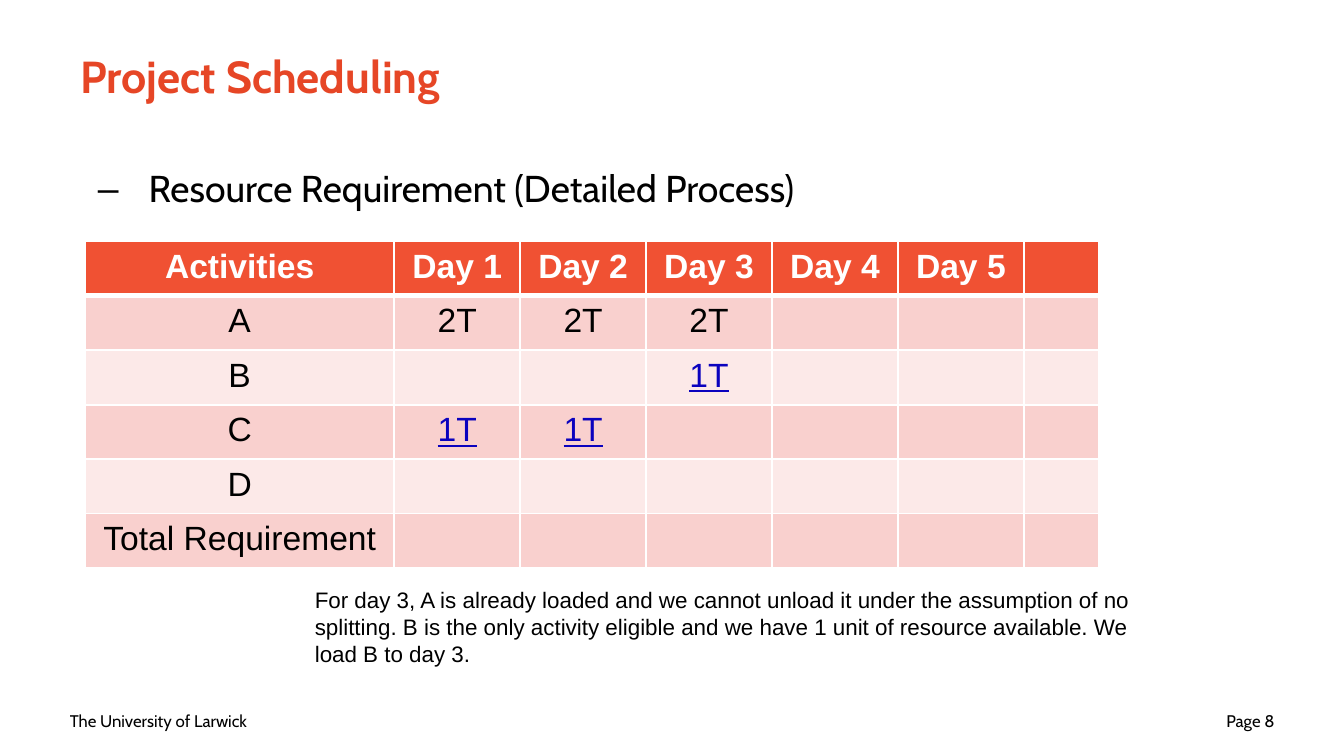
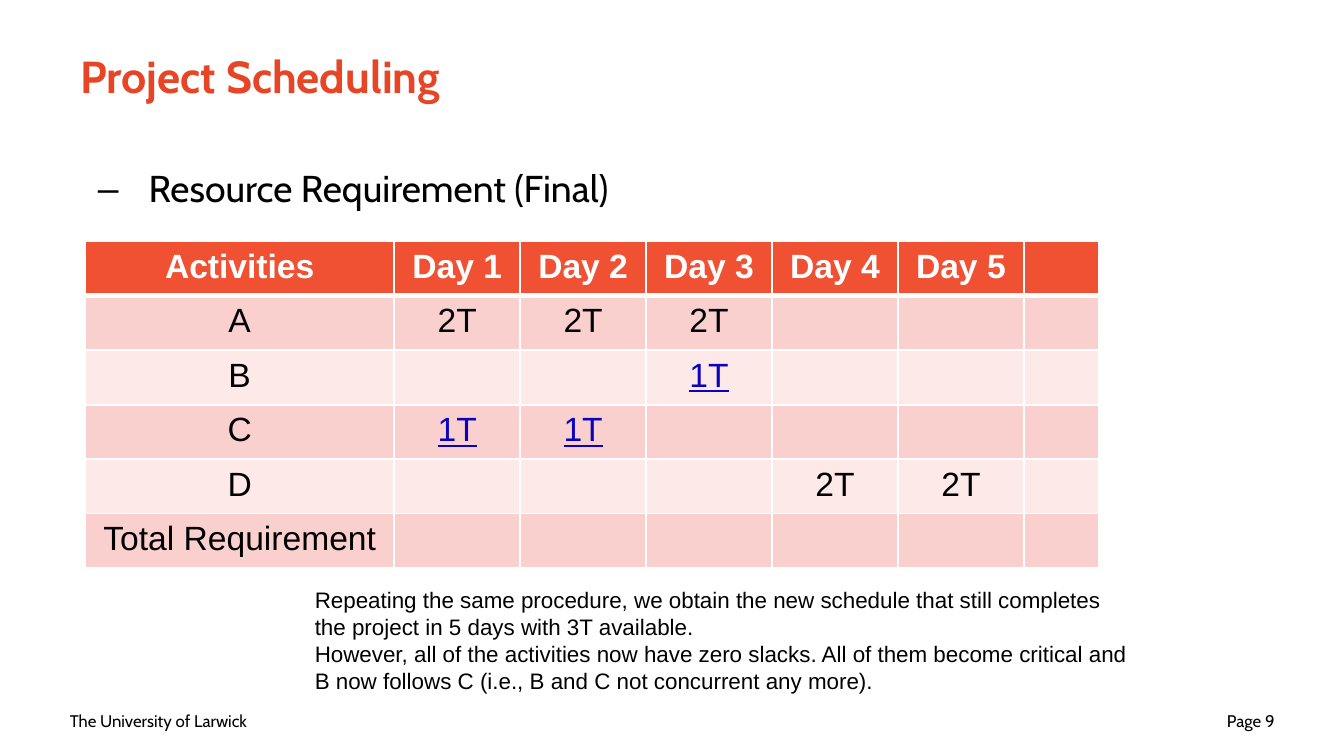
from pptx import Presentation
from pptx.dml.color import RGBColor
from pptx.enum.text import MSO_ANCHOR, PP_ALIGN
from pptx.oxml import parse_xml
from pptx.oxml.ns import nsdecls
from pptx.util import Cm, Pt

TITLE_RED = RGBColor(0xE6, 0x46, 0x26)
HEADER_RED = RGBColor(0xF0, 0x51, 0x33)
BANDS = [RGBColor(0xFC, 0xE9, 0xE8), RGBColor(0xF9, 0xD0, 0xCE)]
BLUE = RGBColor(0x0B, 0x02, 0xBE)
BLACK = RGBColor(0, 0, 0)
WHITE = RGBColor(0xFF, 0xFF, 0xFF)

COLUMNS = [5.84] + [2.38] * 5 + [1.42]
ROW_HEIGHT = 1.03
HEADER = ["Activities"] + [f"Day {day}" for day in range(1, 6)] + [""]
ACTIVITIES = ["A", "B", "C", "D", "Total Requirement"]
SHIFTED = "1T"  # rescheduled load, underlined in blue

# Loads are keyed by (activity, day)
loads = {("A", 1): "2T", ("A", 2): "2T", ("A", 3): "2T",
         ("B", 3): SHIFTED, ("C", 1): SHIFTED, ("C", 2): SHIFTED}
final_loads = {**loads, ("D", 4): "2T", ("D", 5): "2T"}

SLIDES = [
    (8, "Resource Requirement (Detailed Process)", loads, 1.8,
     ["For day 3, A is already loaded and we cannot unload it under the "
      "assumption of no splitting. B is the only activity eligible and we "
      "have 1 unit of resource available. We load B to day 3."]),
    (9, "Resource Requirement (Final)", final_loads, 2.31,
     ["Repeating the same procedure, we obtain the new schedule that still "
      "completes the project in 5 days with 3T available.",
      "However, all of the activities now have zero slacks. All of them become "
      "critical and B now follows C (i.e., B and C not concurrent any more)."]),
]


def add_text(s, box, lines, size, font="Cabin", color=BLACK, bold=False,
             align=PP_ALIGN.LEFT, anchor=MSO_ANCHOR.MIDDLE):
    tf = s.shapes.add_textbox(*map(Cm, box)).text_frame
    tf.word_wrap = True
    tf.vertical_anchor = anchor
    tf.text = "\n".join(lines)
    for p in tf.paragraphs:
        p.alignment = align
        p.font.name, p.font.size, p.font.bold = font, Pt(size), bold
        p.font.color.rgb = color
    return tf


def add_borders(cell, row):
    tcPr = cell._tc.get_or_add_tcPr()
    widths = {"L": 1, "R": 1, "T": 3 if row == 1 else 1, "B": 3 if row == 0 else 1}
    for side, width in widths.items():
        tcPr.append(parse_xml(
            f'<a:ln{side} {nsdecls("a")} w="{Pt(width)}"><a:solidFill>'
            f'<a:srgbClr val="{WHITE}"/></a:solidFill></a:ln{side}>'))


prs = Presentation()
prs.slide_width, prs.slide_height = Cm(25.4), Cm(14.29)

for page, heading, day_loads, note_height, note in SLIDES:
    s = prs.slides.add_slide(prs.slide_layouts[6])

    # Footer and title
    add_text(s, (1.07, 13.25, 5.92, 0.76), ["The University of Larwick"], 9)
    add_text(s, (18.42, 13.25, 5.92, 0.76), [f"Page {page}"], 9, align=PP_ALIGN.RIGHT)
    add_text(s, (1.27, 0.23, 22.86, 2.39), ["Project Scheduling"], 24,
             color=TITLE_RED, bold=True)

    # Dashed heading
    tf = add_text(s, (1.6, 3.1, 22.4, 9.42), [heading], 20, anchor=MSO_ANCHOR.TOP)
    p = tf.paragraphs[0]
    p.line_spacing = 0.9
    pPr = p._p.get_or_add_pPr()
    pPr.set("marL", str(Cm(0.96)))
    pPr.set("indent", str(-Cm(0.96)))
    pPr.find("{*}lnSpc").addnext(parse_xml(
        f'<a:spcBef {nsdecls("a")}><a:spcPct val="35000"/></a:spcBef>'))
    defRPr = pPr.find("{*}defRPr")
    defRPr.addprevious(parse_xml(f'<a:buFont {nsdecls("a")} typeface="Arial"/>'))
    defRPr.addprevious(parse_xml(f'<a:buChar {nsdecls("a")} char="–"/>'))

    # Schedule table
    rows = [HEADER] + [[name] + [day_loads.get((name, day), "") for day in range(1, 7)]
                       for name in ACTIVITIES]
    table = s.shapes.add_table(len(rows), len(COLUMNS), Cm(1.61), Cm(4.56),
                               Cm(sum(COLUMNS)), Cm(ROW_HEIGHT * len(rows))).table
    for column, width in zip(table.columns, COLUMNS):
        column.width = Cm(width)
    for i, row in enumerate(rows):
        table.rows[i].height = Cm(ROW_HEIGHT)
        for j, text in enumerate(row):
            cell = table.cell(i, j)
            add_borders(cell, i)
            cell.fill.solid()
            cell.fill.fore_color.rgb = BANDS[i % 2] if i else HEADER_RED
            cell.text = text
            p = cell.text_frame.paragraphs[0]
            p.alignment = PP_ALIGN.CENTER
            p.font.name, p.font.size, p.font.bold = "Arial", Pt(18), i == 0
            p.font.underline = text == SHIFTED
            p.font.color.rgb = WHITE if i == 0 else BLUE if text == SHIFTED else BLACK

    # Explanation
    add_text(s, (5.7, 10.96, 16.03, note_height), note, 12, font="Arial",
             anchor=MSO_ANCHOR.TOP)

prs.save("out.pptx")
